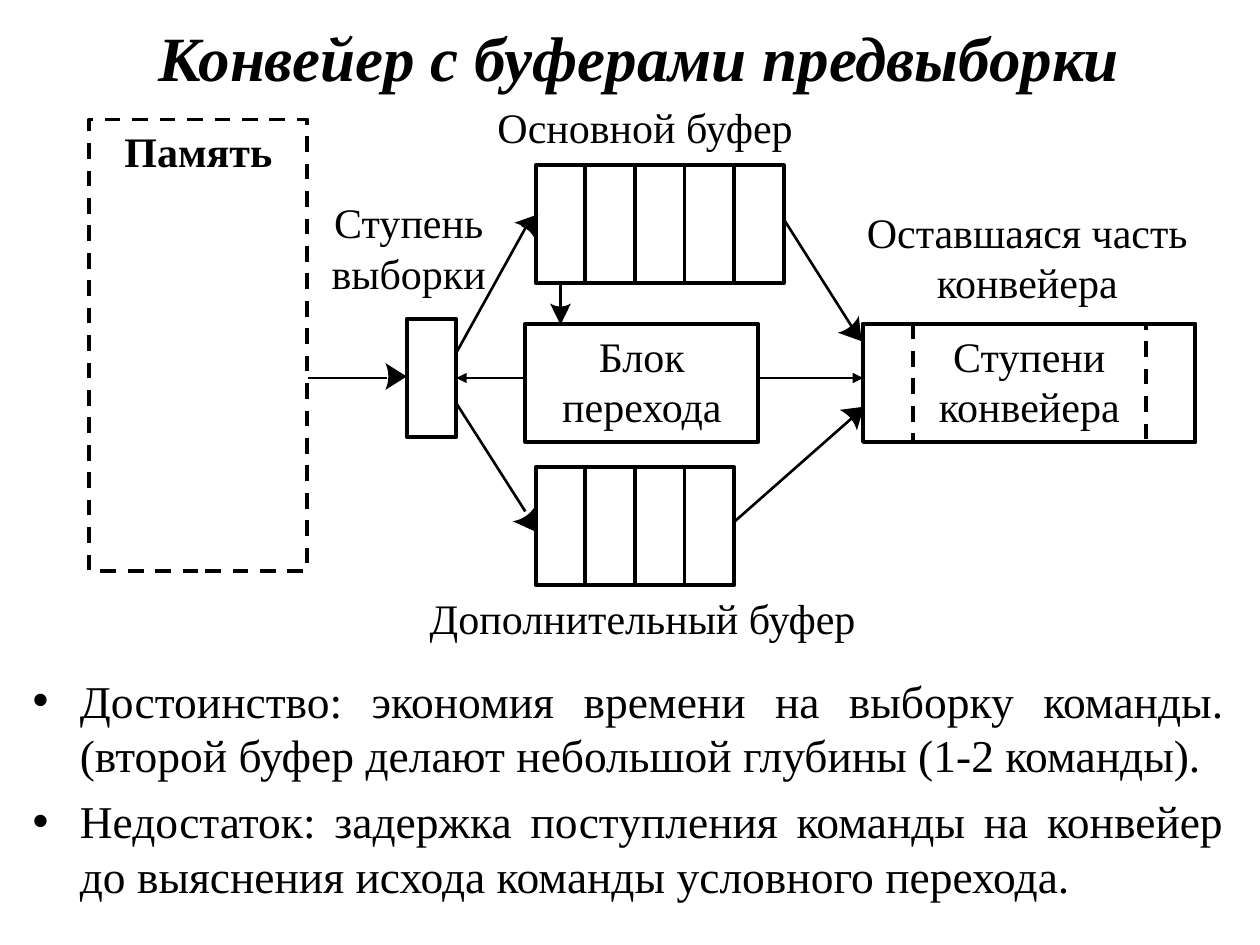
from math import hypot
from lxml.etree import SubElement
from pptx import Presentation
from pptx.dml.color import RGBColor
from pptx.enum.dml import MSO_LINE
from pptx.enum.shapes import MSO_CONNECTOR, MSO_SHAPE
from pptx.enum.text import MSO_ANCHOR, PP_ALIGN
from pptx.oxml.ns import qn
from pptx.util import Cm, Pt

BLACK = RGBColor(0, 0, 0)
FONT = "Times New Roman"
CELL, HIGH = 1.0, 2.38
MID = 7.62

TITLE = "Конвейер с буферами предвыборки"
POINTS = [
    "Достоинство: экономия времени на выборку команды. "
    "(второй буфер делают небольшой глубины (1-2 команды).",
    "Недостаток: задержка поступления команды на конвейер "
    "до выяснения исхода команды условного перехода.",
]
LABELS = [
    ("Ступень выборки", (5.89, 3.84, 4.7, 2.59)),
    ("Оставшаяся часть конвейера", (16.71, 4.04, 8, 2.18)),
    ("Основной буфер", (9.4, 1.93, 7.21, 1.4)),
    ("Дополнительный буфер", (7.9, 11.81, 10.11, 1.4)),
]
BLOCKS = [
    ("Память", (1.8, 2.41, 4.4, 9.1), True, True),
    ("Блок перехода", (10.59, 6.53, 4.7, HIGH), False, False),
    ("Ступени конвейера", (17.4, 6.53, 6.7, HIGH), False, False),
]
ROWS = [
    (8.2, 6.43, 1, False),
    (10.8, 3.33, 5, False),
    (10.8, 9.42, 4, False),
    (17.4, 6.53, 1, True),
    (23.1, 6.53, 1, True),
]
LINES = [
    ((6.2, MID), (7.8, MID), 1.5, False),
    ((9.2, 7.11), (10.69, 4.42), 1.5, True),
    ((9.2, 8.13), (10.59, 10.31), 1.5, False),
    ((11.3, 5.72), (11.3, 6.22), 1.39, False),
    ((15.8, 4.42), (17.2, 6.63), 1.5, False),
    ((14.8, 10.52), (17.4, 8.23), 1.5, False),
    ((10.59, MID), (9.2, MID), 0.75, True),
    ((15.3, MID), (17.4, MID), 0.75, True),
]
HEADS = [
    ((8.2, 7.59), (0.43, 0), 0.27),
    ((10.85, 4.32), (0.27, -0.34), 0.27),
    ((10.8, 10.72), (0.24, 0.36), 0.27),
    ((11.3, 6.55), (0, 0.43), 0.21),
    ((17.37, 6.88), (0.27, 0.34), 0.27),
    ((17.42, 8.2), (0.32, -0.27), 0.27),
]

deck = Presentation()
deck.slide_width, deck.slide_height = Cm(25.4), Cm(19.05)
slide = deck.slides.add_slide(deck.slide_layouts[6])
shapes = slide.shapes


def write(shape, texts, size=24, bold=False, italic=False,
          align=PP_ALIGN.CENTER, anchor=MSO_ANCHOR.TOP, bullet=False):
    frame = shape.text_frame
    frame.word_wrap = True
    frame.vertical_anchor = anchor
    for i, text in enumerate(texts):
        para = frame.add_paragraph() if i else frame.paragraphs[0]
        para.alignment = align
        if i:
            para.space_before = Pt(6.5)
        if bullet:
            props = para._p.get_or_add_pPr()
            props.set("marL", str(Cm(0.95)))
            props.set("indent", str(-Cm(0.95)))
            SubElement(props, qn("a:buFont")).set("typeface", "Arial")
            SubElement(props, qn("a:buChar")).set("char", "•")
        run = para.add_run()
        run.text = text
        font = run.font
        font.name, font.size = FONT, Pt(size)
        font.bold, font.italic = bold, italic
        font.color.rgb = BLACK


def label(texts, place, **style):
    write(shapes.add_textbox(*map(Cm, place)), texts, **style)


def box(place, dash=False):
    rect = shapes.add_shape(MSO_SHAPE.RECTANGLE, *map(Cm, place))
    rect.shadow.inherit = False
    rect.fill.background()
    rect.line.color.rgb = BLACK
    rect.line.width = Pt(2.25)
    if dash:
        rect.line.dash_style = MSO_LINE.DASH
    return rect


def link(start, end, width, tip):
    line = shapes.add_connector(MSO_CONNECTOR.STRAIGHT, *map(Cm, start + end))
    line.line.color.rgb = BLACK
    line.line.width = Pt(width)
    if tip:
        SubElement(line.line._get_or_add_ln(), qn("a:tailEnd")).set("type", "triangle")
    SubElement(line._element.spPr, qn("a:effectLst"))


def head(tip, way, half):
    x, y = tip
    dx, dy = way
    size = hypot(dx, dy)
    ux, uy = dx / size, dy / size
    base = []
    for step in range(-4, 5):
        t = step / 4
        back = size - 0.06 * (1 - t * t)
        base.append((Cm(x - ux * back - uy * half * t),
                     Cm(y - uy * back + ux * half * t)))
    path = shapes.build_freeform(Cm(x), Cm(y))
    path.add_line_segments(base, close=True)
    form = path.convert_to_shape()
    form.shadow.inherit = False
    form.fill.solid()
    form.fill.fore_color.rgb = BLACK
    form.line.fill.background()


label([TITLE], (0.36, 0.43, 25.04, 1.4), size=36, bold=True, italic=True,
      anchor=MSO_ANCHOR.MIDDLE)
label(POINTS, (0.41, 13.44, 24.53, 5), size=26, align=PP_ALIGN.JUSTIFY, bullet=True)
for text, place in LABELS:
    label([text], place)
for text, place, dash, bold in BLOCKS:
    write(box(place, dash), [text], bold=bold)
for left, top, count, dash in ROWS:
    for i in range(count):
        box((left + i * CELL, top, CELL, HIGH), dash)
for item in LINES:
    link(*item)
for item in HEADS:
    head(*item)

deck.save("out.pptx")
